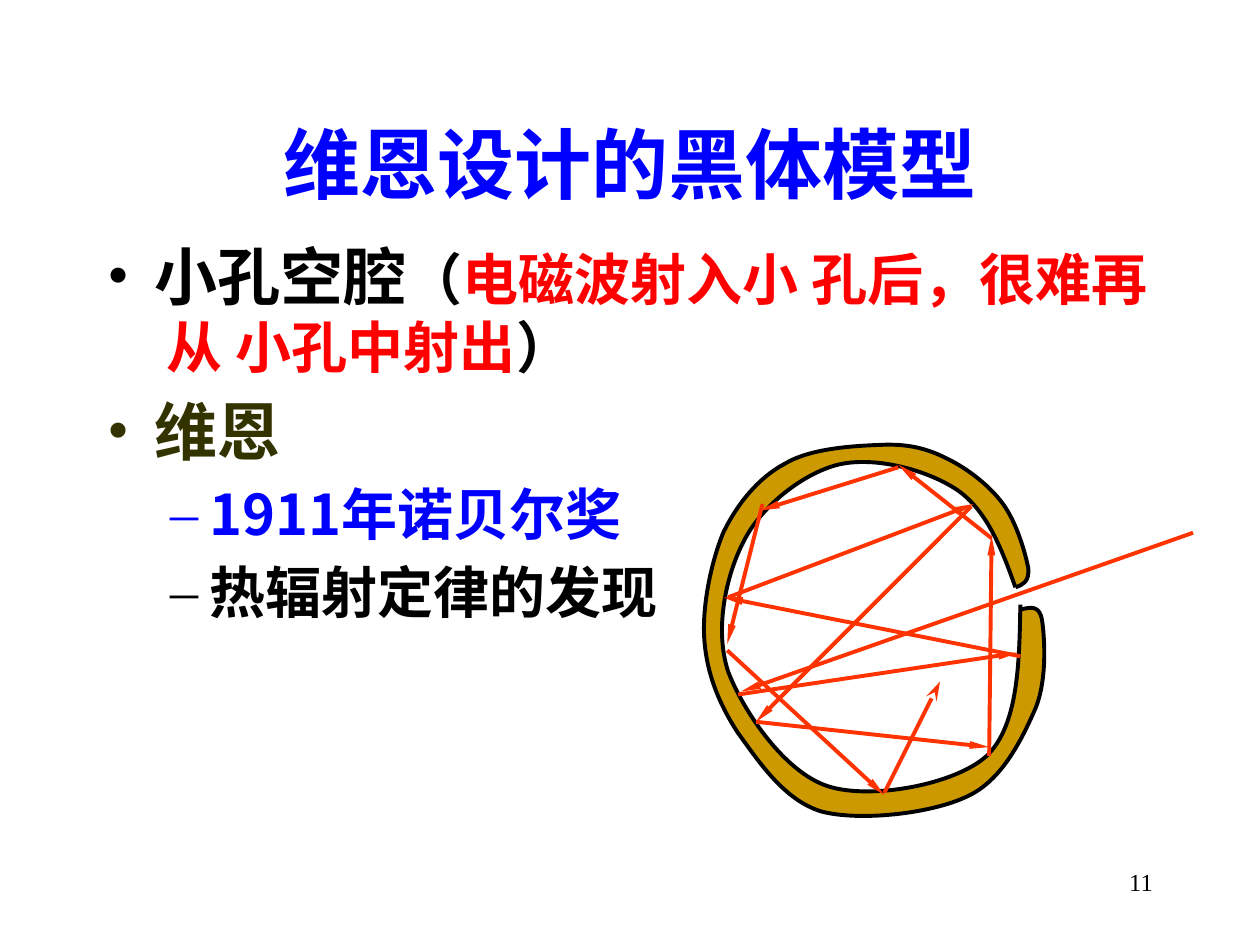
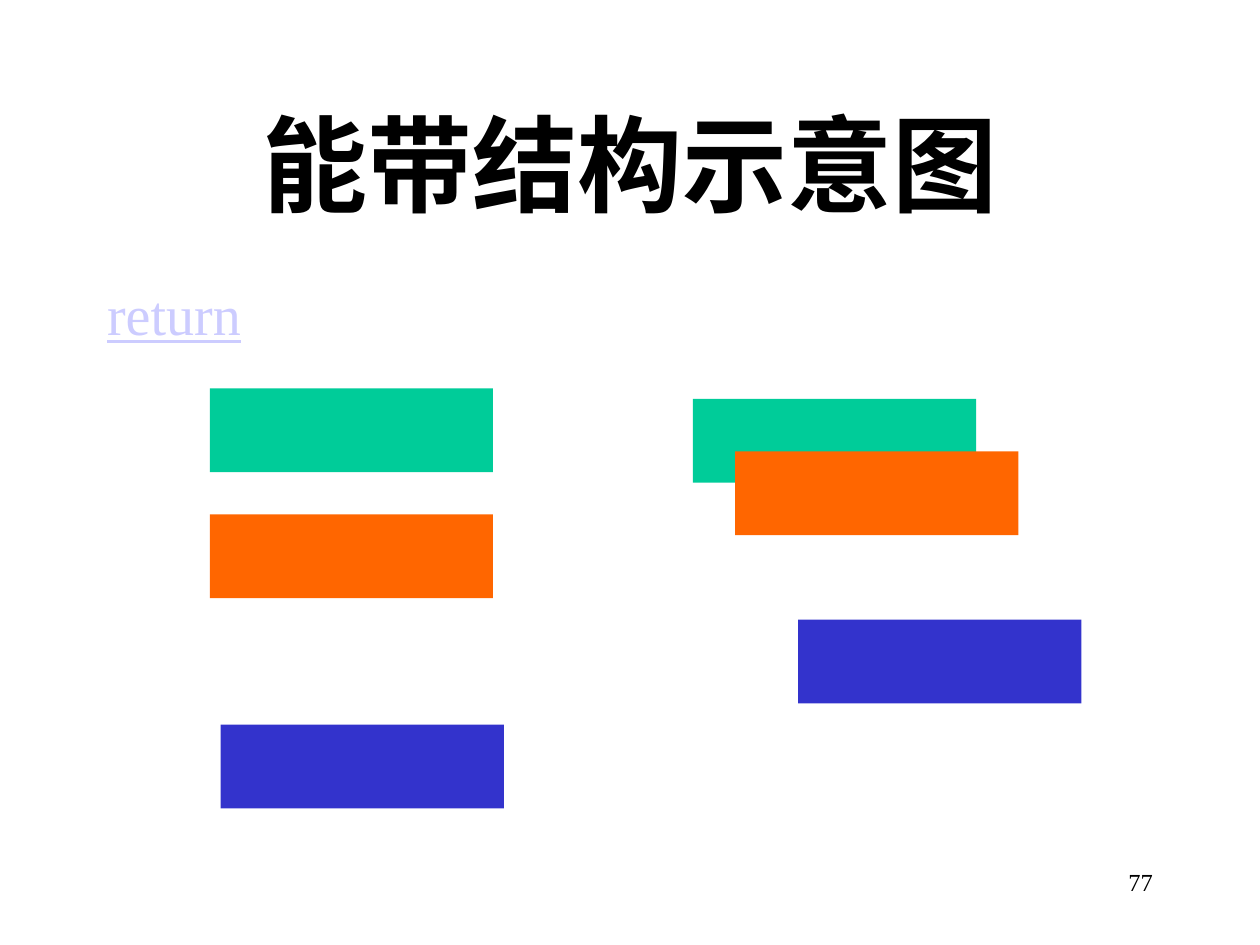
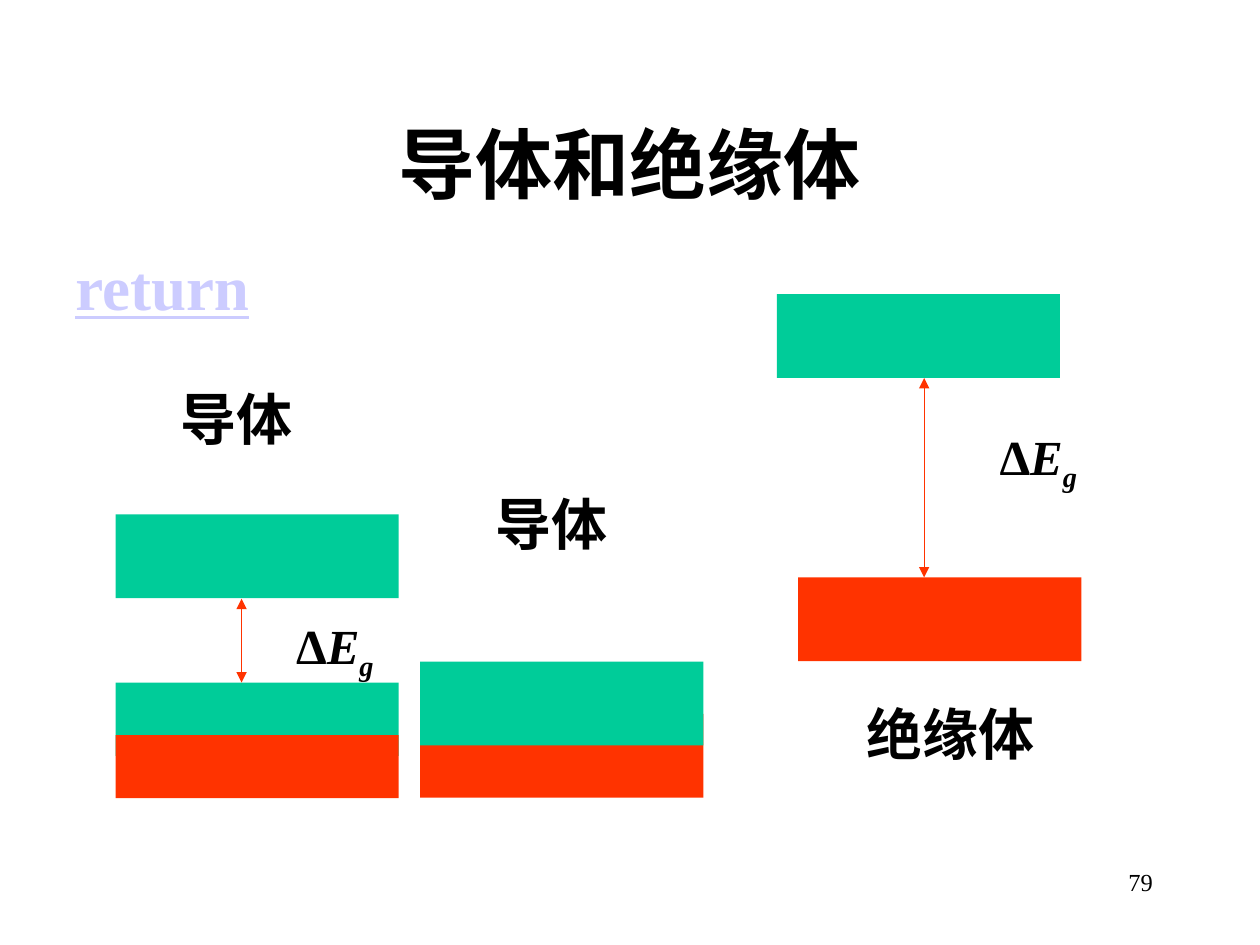
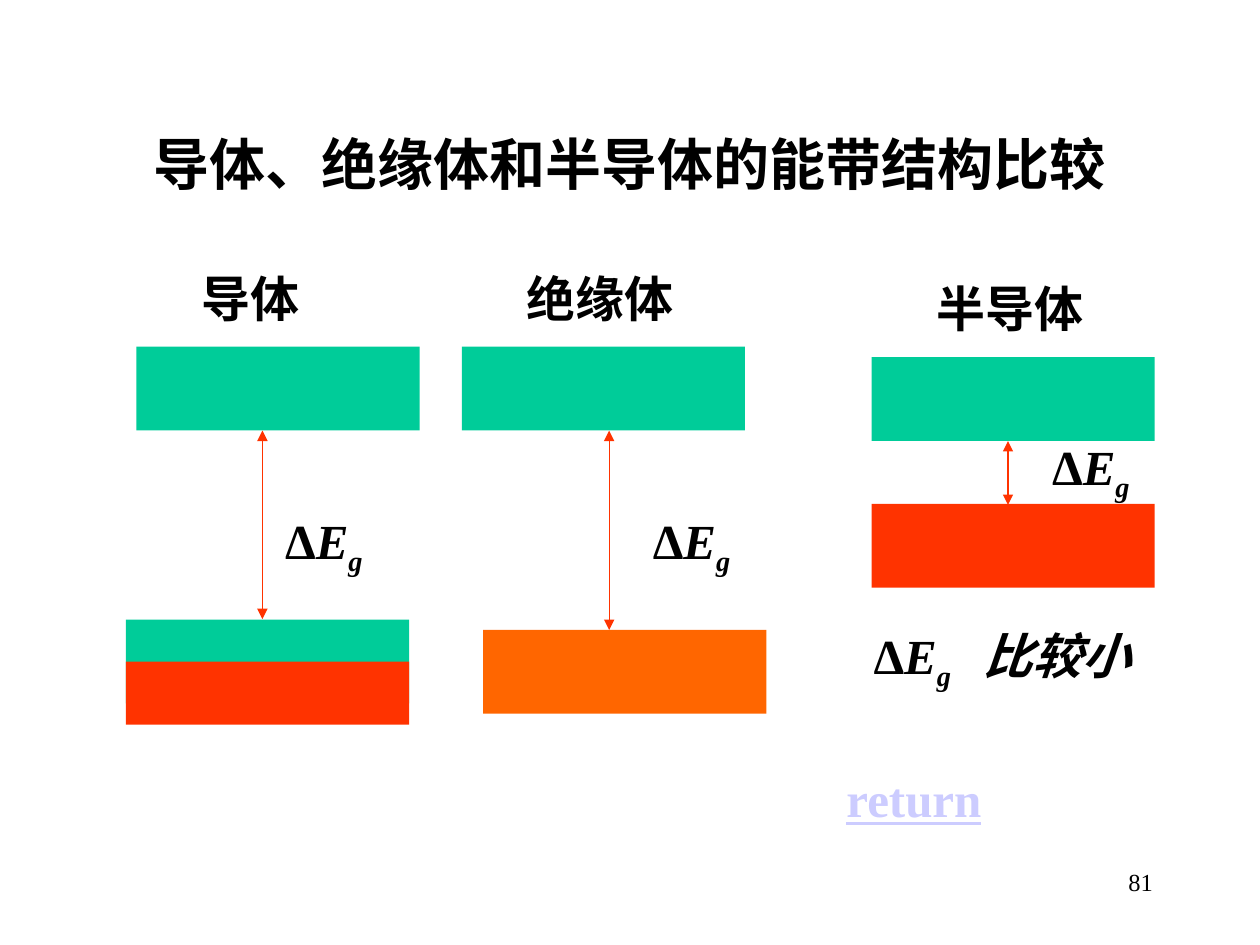
from lxml import etree
from pptx import Presentation
from pptx.dml.color import RGBColor
from pptx.enum.shapes import MSO_CONNECTOR, MSO_SHAPE
from pptx.enum.text import MSO_ANCHOR, MSO_AUTO_SIZE, PP_ALIGN
from pptx.oxml.ns import qn
from pptx.util import Cm, Pt

STRAIGHT = MSO_CONNECTOR.STRAIGHT
RECTANGLE = MSO_SHAPE.RECTANGLE
TOP, MIDDLE = MSO_ANCHOR.TOP, MSO_ANCHOR.MIDDLE
FIT = MSO_AUTO_SIZE.SHAPE_TO_FIT_TEXT
LEFT, CENTER, RIGHT = PP_ALIGN.LEFT, PP_ALIGN.CENTER, PP_ALIGN.RIGHT

COLORS = {
    "text": "000000", "blue": "0000FF", "red": "FF0000", "olive": "333300",
    "return": "CCCCFF", "ray": "FF3300", "wall": "CC9900", "hollow": "FFFFFF",
    "green": "00CC99", "orange": "FF6600", "filled": "FF3300", "indigo": "3333CC",
}
SERIF, SANS = "Times New Roman", "Noto Sans CJK SC"
BAND_WIDTH, BAND_HEIGHT = 5.71, 1.69
LINE_HEIGHT = {28: 1.45, 32: 1.61}

# Cavity outlines in cm: a start point, then cubic curves of three points each
OUTER_WALL = [
    (20.47, 11.84),
    (20.62, 11.79), (20.75, 11.73), (20.73, 11.46),
    (20.68, 11.18), (20.5, 10.54), (20.22, 10.16),
    (19.96, 9.8), (19.51, 9.45), (19.1, 9.25),
    (18.69, 9.04), (18.29, 8.94), (17.73, 8.97),
    (17.2, 8.99), (16.33, 9.04), (15.82, 9.35),
    (15.29, 9.63), (14.86, 10.16), (14.58, 10.74),
    (14.33, 11.35), (14.15, 12.24), (14.2, 12.9),
    (14.25, 13.59), (14.5, 14.2), (14.88, 14.78),
    (15.29, 15.34), (15.8, 16.13), (16.56, 16.36),
    (17.32, 16.56), (18.77, 16.41), (19.51, 16.05),
    (20.22, 15.72), (20.62, 14.86), (20.88, 14.27),
    (21.11, 13.69), (21.06, 12.88), (21.01, 12.52),
    (20.96, 12.19), (20.78, 12.24), (20.57, 12.29),
]
INNER_WALL = [
    (20.47, 11.84),
    (20.19, 11.05), (19.89, 10.29), (19.3, 9.88),
    (18.69, 9.47), (17.63, 9.19), (16.89, 9.37),
    (16.18, 9.55), (15.34, 10.21), (14.99, 10.92),
    (14.63, 11.61), (14.4, 12.7), (14.68, 13.54),
    (14.99, 14.35), (15.82, 15.57), (16.69, 15.85),
    (17.55, 16.13), (19.25, 15.82), (19.89, 15.24),
    (20.52, 14.63), (20.55, 13.41), (20.57, 12.19),
]
# Light path: each reflection from and to
RAYS = [
    ((24.05, 10.74), (14.94, 13.94)), ((14.88, 14), (20.52, 13.16)),
    ((20.57, 13.23), (14.58, 12.04)), ((14.68, 12.04), (19.63, 10.16)),
    ((19.58, 10.21), (15.24, 14.55)), ((15.24, 14.55), (19.94, 15.06)),
    ((19.94, 15.24), (19.99, 10.8)), ((19.99, 10.85), (18.11, 9.37)),
    ((18.11, 9.42), (15.32, 10.29)), ((15.37, 10.16), (14.66, 12.98)),
    ((14.66, 13.11), (17.83, 16.03)),
]
LAST_RAY = ((17.83, 15.98), (18.95, 13.74))


def rgb(color):
    return RGBColor.from_string(COLORS[color])


# Text
def style(font, size=None, color=None, italic=None):
    if size:
        font.size = Pt(size)
    if color:
        font.color.rgb = rgb(color)
    if italic:
        font.italic = True


def write(paragraph, text, size, color="text", face=SERIF, bold=True,
          underline=False, align=LEFT):
    """Fill a paragraph with a string or a list of (text, run styles)."""
    paragraph.alignment = align
    font = paragraph.font
    style(font, size, color)
    font.name, font.bold, font.underline = face, bold, underline
    default_font = paragraph._p.pPr.find(qn("a:defRPr"))
    etree.SubElement(default_font, qn("a:ea"), typeface=SANS)
    for part, changes in [(text, {})] if isinstance(text, str) else text:
        run = paragraph.add_run()
        run.text = part
        style(run.font, **changes)


def add_box(slide, left, top, width, height, anchor=TOP, wrap=True, fit=False):
    frame = slide.shapes.add_textbox(
        Cm(left), Cm(top), Cm(width), Cm(height)).text_frame
    frame.word_wrap = wrap
    frame.vertical_anchor = anchor
    if fit:
        frame.auto_size = FIT
    return frame


def add_label(slide, text, left, top, width, size=32, align=LEFT, **look):
    anchor = MIDDLE if align == CENTER else TOP
    frame = add_box(slide, left, top, width, LINE_HEIGHT[size], anchor,
                    wrap=False, fit=True)
    write(frame.paragraphs[0], text, size, align=align, **look)


def add_return(slide, left, top, size, bold):
    paragraph = add_box(slide, left, top, 21.59, 11.43).paragraphs[0]
    paragraph.space_before = Pt(size * 0.2)
    write(paragraph, "return", size, "return", bold=bold, underline=True)


def add_gap_symbol(slide, left, top, remark=""):
    """Write ΔE with subscript g, and a remark after a tab if there is one."""
    width = 5.93 if remark else 2.12
    paragraph = add_box(slide, left, top, width, 1.45, fit=True).paragraphs[0]
    parts = [("Δ", {}), ("E", {"italic": True}), ("g", {"italic": True})]
    if remark:
        tabs = etree.SubElement(paragraph._p.get_or_add_pPr(), qn("a:tabLst"))
        etree.SubElement(tabs, qn("a:tab"), pos=str(Cm(2.22)), algn="l")
        parts.append(("\t" + remark, {"italic": True}))
    write(paragraph, parts, 28)
    paragraph.runs[2]._r.get_or_add_rPr().set("baseline", "-25000")


def add_bullet(paragraph, level, text, size, **look):
    margin, hang, mark = [(0.95, 0.95, "•"), (2.06, 0.79, "–")][level]
    paragraph.level = level
    paragraph.space_before = Pt(size * 0.2)
    properties = paragraph._p.get_or_add_pPr()
    properties.set("marL", str(Cm(margin)))
    properties.set("indent", str(-Cm(hang)))
    etree.SubElement(properties, qn("a:buFont"), typeface=SERIF)
    etree.SubElement(properties, qn("a:buChar"), char=mark)
    write(paragraph, text, size, face=SANS, **look)


# Shapes and lines
def add_band(slide, color, left, top, height=BAND_HEIGHT):
    band = slide.shapes.add_shape(
        RECTANGLE, Cm(left), Cm(top), Cm(BAND_WIDTH), Cm(height))
    band.shadow.inherit = False
    band.fill.solid()
    band.fill.fore_color.rgb = rgb(color)
    band.line.fill.background()


def add_arrow(slide, start, end, weight, tail="triangle", head=None,
              head_width="med", head_length="med"):
    arrow = slide.shapes.add_connector(STRAIGHT, *map(Cm, start + end))
    arrow.line.color.rgb = rgb("ray")
    arrow.line.width = Pt(weight)
    line = arrow.line._get_or_add_ln()
    for tag, kind in (("a:headEnd", head), ("a:tailEnd", tail)):
        if kind:
            etree.SubElement(line, qn(tag), type=kind, w=head_width, len=head_length)
    etree.SubElement(arrow._element.spPr, qn("a:effectLst"))


def add_gap_arrow(slide, x, top, bottom):
    add_arrow(slide, (x, top), (x, bottom), 0.75, head="triangle")


def bend(outline):
    """Turn each three line segments of a freeform into one cubic curve."""
    segments = list(outline._element.iter(qn("a:lnTo")))
    for first in range(0, len(segments), 3):
        curve = etree.Element(qn("a:cubicBezTo"))
        segments[first].addprevious(curve)
        for segment in segments[first:first + 3]:
            curve.append(segment[0])
            segment.getparent().remove(segment)


def add_wall(slide, points, color):
    start, *curves = [(Cm(x), Cm(y)) for x, y in points]
    builder = slide.shapes.build_freeform(*start)
    builder.add_line_segments(curves, close=False)
    wall = builder.convert_to_shape()
    bend(wall)
    wall.shadow.inherit = False
    wall.fill.solid()
    wall.fill.fore_color.rgb = rgb(color)
    wall.line.color.rgb = rgb("text")
    wall.line.width = Pt(2.25)


# Slides
def new_slide(deck, title, number, size=44, **look):
    slide = deck.slides.add_slide(deck.slide_layouts[6])
    heading = add_box(slide, 1.91, 1.69, 21.59, 3.18, MIDDLE)
    write(heading.paragraphs[0], title, size, align=CENTER, **look)
    footer = add_box(slide, 18.2, 17.36, 5.29, 1.27)
    write(footer.paragraphs[0], str(number), 14, bold=False, align=RIGHT)
    return slide


def black_body_slide(deck):
    slide = new_slide(deck, "维恩设计的黑体模型", 11, color="blue", face=SANS)
    body = add_box(slide, 1.91, 4.66, 21.59, 12.28)
    cavity = [
        ("小孔空腔", {}),
        ("（", {"size": 32}),
        ("电磁波射入小 孔后，很难再  从 小孔中射出", {"size": 32, "color": "red"}),
        ("）", {"size": 32}),
    ]
    add_bullet(body.paragraphs[0], 0, cavity, 36)
    add_bullet(body.add_paragraph(), 0, "维恩", 36, color="olive")
    add_bullet(body.add_paragraph(), 1, "1911年诺贝尔奖", 32, color="blue")
    add_bullet(body.add_paragraph(), 1, "热辐射定律的发现", 32)

    add_wall(slide, OUTER_WALL, "wall")
    add_wall(slide, INNER_WALL, "hollow")
    for start, end in RAYS:
        add_arrow(slide, start, end, 2.25, head_width="sm", head_length="lg")
    add_arrow(slide, *LAST_RAY, 2.25, tail="stealth", head_length="lg")


def band_structure_slide(deck):
    slide = new_slide(deck, "能带结构示意图", 77, size=60)
    add_return(slide, 1.91, 5.51, 32, bold=False)
    for band in [
        ("orange", 4.23, 10.37), ("green", 13.97, 8.04), ("indigo", 4.45, 14.61),
        ("orange", 14.82, 9.1), ("indigo", 16.09, 12.49), ("green", 4.23, 7.83),
    ]:
        add_band(slide, *band)


def conductor_slide(deck):
    slide = new_slide(deck, "导体和绝缘体", 79)
    for band in [
        ("green", 2.33, 10.37), ("green", 2.33, 13.76, 1.48),
        ("filled", 2.33, 14.82, 1.27), ("filled", 16.09, 11.64),
        ("green", 15.66, 5.93), ("filled", 8.47, 14.39), ("green", 8.47, 13.34),
    ]:
        add_band(slide, *band)
    add_label(slide, "导体", 3.39, 7.62, 2.79)
    add_label(slide, "导体", 9.74, 9.74, 2.79)
    add_label(slide, "绝缘体", 17.15, 13.97, 4.02, align=CENTER)
    add_gap_symbol(slide, 19.9, 8.47)
    add_gap_symbol(slide, 5.72, 12.28)
    add_return(slide, 1.27, 4.87, 36, bold=True)
    add_gap_arrow(slide, 4.87, 12.07, 13.76)
    add_gap_arrow(slide, 18.63, 7.62, 11.64)


def comparison_slide(deck):
    slide = new_slide(deck, "导体、绝缘体和半导体的能带结构比较", 81, size=32)
    for band in [
        ("green", 2.75, 6.99), ("green", 2.54, 12.49), ("filled", 2.54, 13.34, 1.27),
        ("filled", 17.57, 10.16), ("green", 17.57, 7.2),
        ("green", 9.31, 6.99), ("orange", 9.74, 12.7),
    ]:
        add_band(slide, *band)
    add_label(slide, "导体", 3.81, 5.29, 2.51, 28)
    add_label(slide, "绝缘体", 10.37, 5.29, 3.51, 28)
    add_label(slide, "半导体", 18.63, 5.5, 3.51, 28)
    add_gap_arrow(slide, 5.29, 8.68, 12.48)
    add_gap_arrow(slide, 12.28, 8.68, 12.7)
    add_gap_arrow(slide, 20.32, 8.89, 10.18)
    add_gap_symbol(slide, 5.5, 10.16)
    add_gap_symbol(slide, 12.91, 10.16)
    add_gap_symbol(slide, 20.96, 8.68)
    add_gap_symbol(slide, 17.36, 12.49, remark="比较小")
    add_label(slide, "return", 16.8, 15.37, 3.25, 28, align=CENTER,
              color="return", underline=True)


def main():
    deck = Presentation()
    deck.slide_width, deck.slide_height = Cm(25.4), Cm(19.05)
    black_body_slide(deck)
    band_structure_slide(deck)
    conductor_slide(deck)
    comparison_slide(deck)
    deck.save("out.pptx")


if __name__ == "__main__":
    main()
